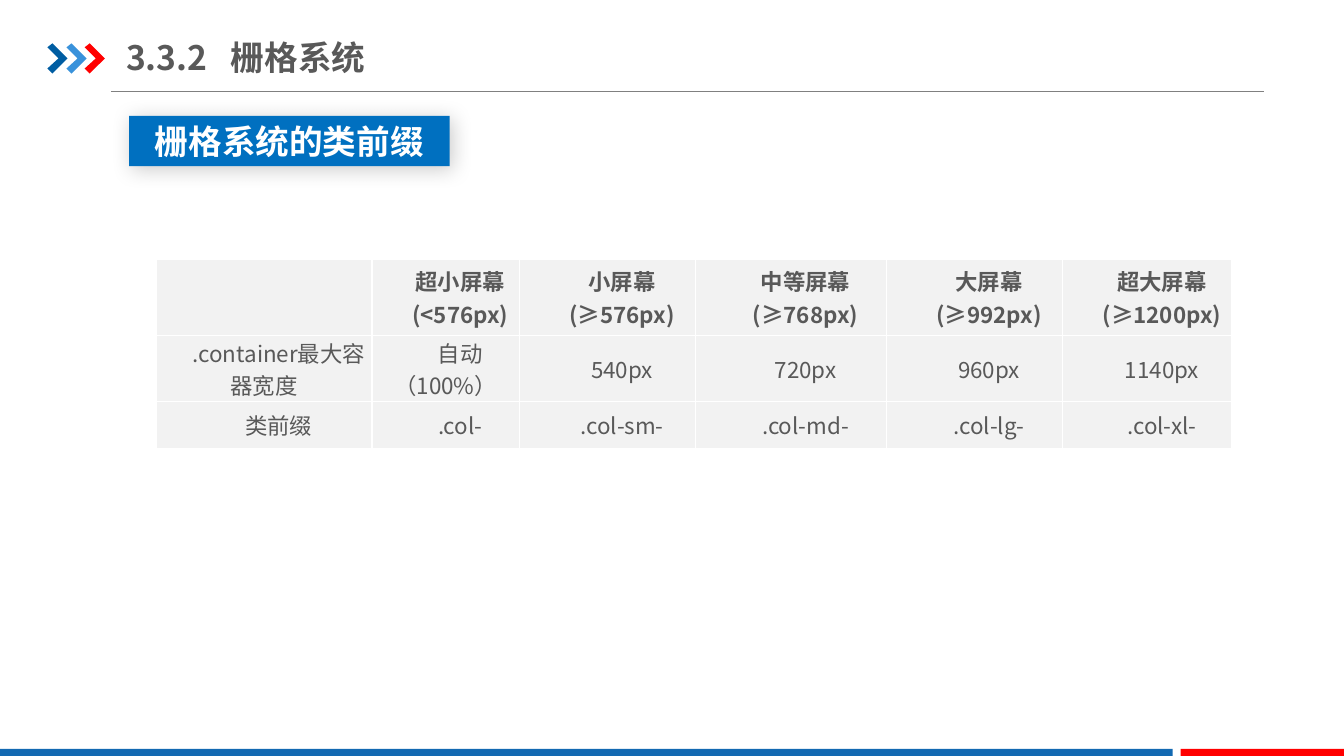
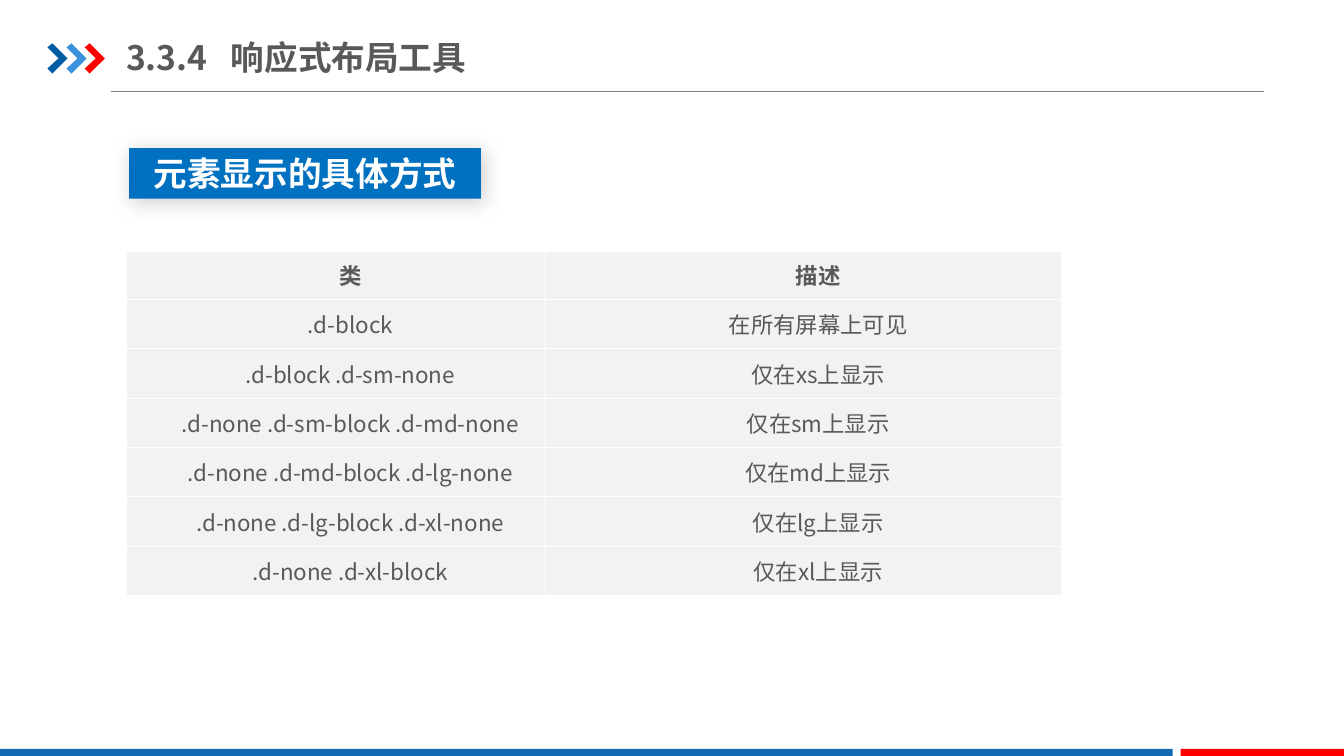
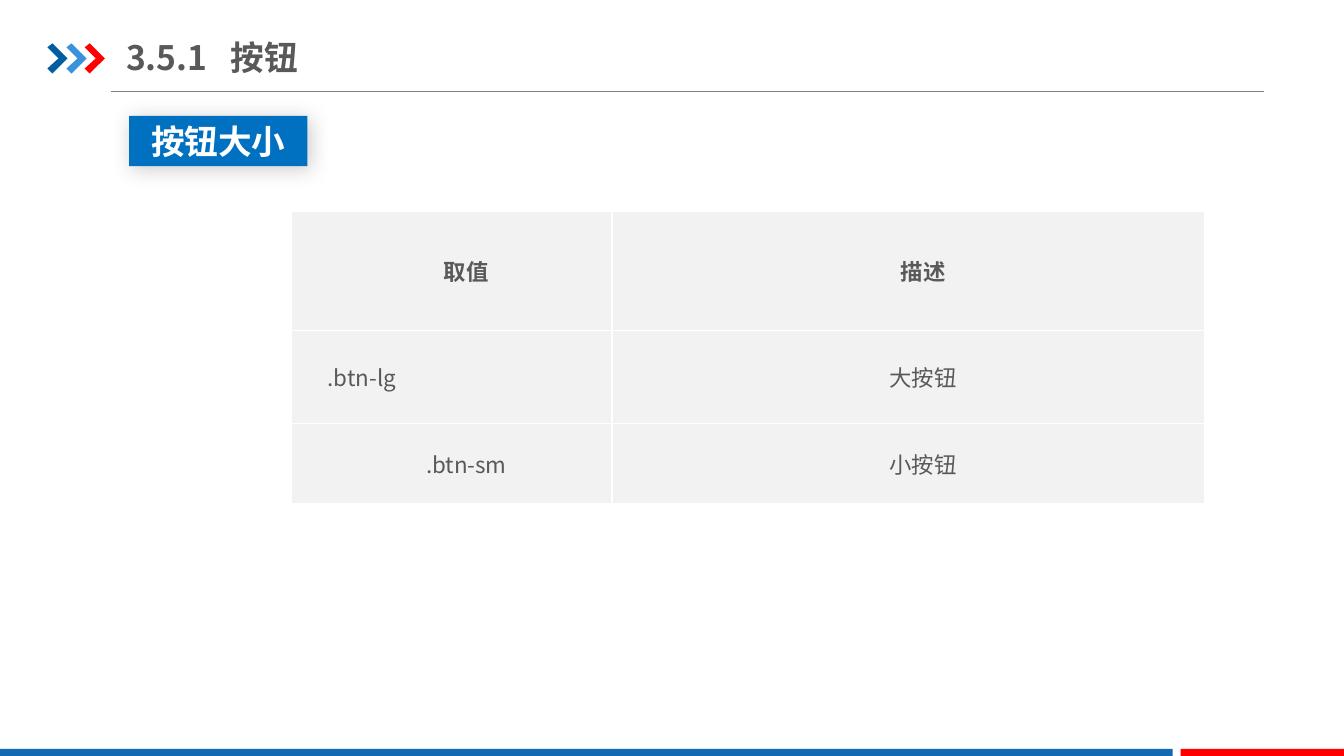
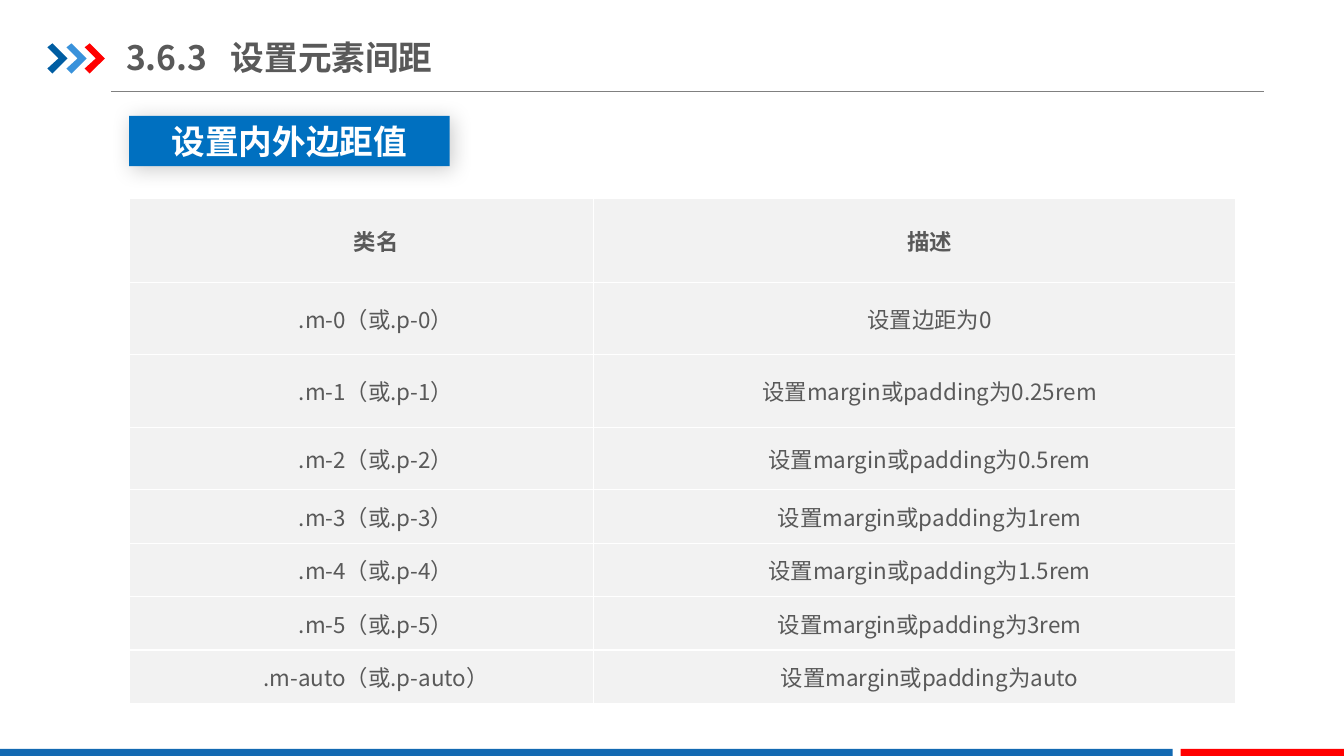
from dataclasses import dataclass

from lxml import etree
from pptx import Presentation
from pptx import util as u
from pptx.dml.color import RGBColor
from pptx.enum import shapes, text
from pptx.oxml import ns

EMU_PER_PX = 9144  # 100 px to the inch


@dataclass(frozen=True)
class Theme:
    font: str = "Noto Sans CJK SC"
    ink: str = "595959"
    white: str = "FFFFFF"
    rule: str = "808080"
    cell: str = "F2F2F2"
    tag: str = "0070C0"
    band: str = "1369B2"
    accent: str = "FF0000"
    chevrons: tuple = ("005DA2", "3992DB", "FF0000")
    heading_pt: int = 24
    table_pt: int = 16


THEME = Theme()
CHEVRON = ((0, 4), (5, 0), (20, 15), (5, 30), (0, 25), (11, 15))
CENTER, LEFT = text.PP_ALIGN.CENTER, text.PP_ALIGN.LEFT


def px(n):
    return u.Emu(n * EMU_PER_PX)


def rgb(color):
    return RGBColor.from_string(color)


def sub(parent, tag, **attrs):
    return etree.SubElement(parent, ns.qn(tag), attrs)


# Basic elements

def add_run(p, words, size, color, bold=False):
    r = p.add_run()
    r.text = words
    r.font.size = u.Pt(size)
    r.font.bold = bold
    r.font.color.rgb = rgb(color)
    r.font.name = THEME.font
    sub(r.font._element, "a:ea", typeface=THEME.font)


def paint(sp, color):
    sp.fill.solid()
    sp.fill.fore_color.rgb = rgb(color)
    sp.line.fill.background()
    sp.shadow.inherit = False
    return sp


def add_rect(s, left, top, width, height, color):
    sp = s.shapes.add_shape(shapes.MSO_SHAPE.RECTANGLE,
                            px(left), px(top), px(width), px(height))
    return paint(sp, color)


def add_chevron(s, left, top, color):
    points = [(left + x, top + y) for x, y in CHEVRON]
    builder = s.shapes.build_freeform(*points[0], scale=EMU_PER_PX)
    builder.add_line_segments(points[1:], close=True)
    return paint(builder.convert_to_shape(), color)


# Parts that every slide shares

def add_frame(s):
    rule = s.shapes.add_connector(shapes.MSO_CONNECTOR.STRAIGHT,
                                  px(110), px(91), px(1254), px(91))
    rule.line.color.rgb = rgb(THEME.rule)
    rule.line.width = u.Pt(0.75)
    sub(rule._element.spPr, "a:effectLst")

    s.shapes.add_group_shape([add_chevron(s, left, 43, color)
                              for left, color in zip((47, 66, 84), THEME.chevrons)])
    add_rect(s, 0, 743, 1163, 9, THEME.band)
    add_rect(s, 1171, 743, 163, 9, THEME.accent)


def add_title(s, number, words):
    sp = s.shapes.add_textbox(px(125), px(29), px(605), px(55))
    tf = sp.text_frame
    tf.word_wrap = True
    tf.vertical_anchor = text.MSO_ANCHOR.MIDDLE
    tf.margin_left = tf.margin_right = 0
    tf.margin_top = tf.margin_bottom = px(7)
    p = tf.paragraphs[0]
    tabs = sub(p._p.get_or_add_pPr(), "a:tabLst")
    sub(tabs, "a:tab", pos=str(px(104)), algn="l")
    add_run(p, f"{number}\t{words}", THEME.heading_pt, THEME.ink, bold=True)


def add_tag(s, words, top, width):
    sp = add_rect(s, 128, top, width, 50, THEME.tag)
    effects = sp._element.spPr.find(ns.qn("a:effectLst"))
    shadow = sub(effects, "a:outerShdw", blurRad=str(u.Pt(15)), dist=str(u.Pt(3)),
                 dir=str(45 * 60000), algn="tl", rotWithShape="0")
    sub(sub(shadow, "a:srgbClr", val="000000"), "a:alpha", val="20000")
    tf = sp.text_frame
    tf.word_wrap = True
    tf.vertical_anchor = text.MSO_ANCHOR.MIDDLE
    p = tf.paragraphs[0]
    p.alignment = CENTER
    add_run(p, words, THEME.heading_pt, THEME.white, bold=True)


# Tables

def style_cell(cell):
    cell.margin_left = cell.margin_right = px(7)
    cell.margin_top = cell.margin_bottom = 0
    cell.vertical_anchor = text.MSO_ANCHOR.MIDDLE
    tcPr = cell._tc.get_or_add_tcPr()
    for side in ("a:lnL", "a:lnR", "a:lnT", "a:lnB"):
        ln = sub(tcPr, side, w=str(u.Pt(1)))
        sub(sub(ln, "a:solidFill"), "a:srgbClr", val=THEME.white)
    cell.fill.solid()
    cell.fill.fore_color.rgb = rgb(THEME.cell)


def fill_cell(cell, words, bold, align):
    tf = cell.text_frame
    for i, line in enumerate(words.split("\n")):
        p = tf.add_paragraph() if i else tf.paragraphs[0]
        p.alignment = align
        p._p.get_or_add_pPr().set("indent", str(px(29)))
        if line:
            add_run(p, line, THEME.table_pt, THEME.ink, bold)


def add_grid(s, left, top, widths, heights, rows, left_cells=()):
    """First row is the bold header; left_cells lists (row, column) set left."""
    frame = s.shapes.add_table(len(rows), len(widths), px(left), px(top),
                               px(sum(widths)), px(sum(heights)))
    table = frame.table
    table.first_row = table.horz_banding = False
    for column, width in zip(table.columns, widths):
        column.width = px(width)
    for row, height in zip(table.rows, heights):
        row.height = px(height)
    for i, row in enumerate(rows):
        for j, words in enumerate(row):
            cell = table.cell(i, j)
            style_cell(cell)
            fill_cell(cell, words, i == 0, LEFT if (i, j) in left_cells else CENTER)


def add_page(prs, number, title, tag, tag_width, tag_top=115):
    s = prs.slides.add_slide(prs.slide_layouts[6])
    add_frame(s)
    add_title(s, number, title)
    add_tag(s, tag, tag_top, tag_width)
    return s


def main():
    prs = Presentation()
    prs.slide_width, prs.slide_height = px(1333), px(750)

    # Grid class prefixes; the middle row holds two lines
    s = add_page(prs, "3.3.2", "栅格系统", "栅格系统的类前缀", 318)
    add_grid(s, 155, 257, (214, 146, 175, 189, 175, 168), (76, 65, 47), [
        ("", "超小屏幕\n(<576px)", "小屏幕\n(≥576px)", "中等屏幕\n(≥768px)",
         "大屏幕\n(≥992px)", "超大屏幕\n(≥1200px)"),
        (".container最大容器宽度", "自动（100%）", "540px", "720px", "960px", "1140px"),
        ("类前缀", ".col-", ".col-sm-", ".col-md-", ".col-lg-", ".col-xl-"),
    ])

    # Display classes
    s = add_page(prs, "3.3.4", "响应式布局工具", "元素显示的具体方式", 349, tag_top=147)
    add_grid(s, 125, 249, (416, 512), [48] + [49] * 6, [
        ("类", "描述"),
        (".d-block", "在所有屏幕上可见"),
        (".d-block .d-sm-none", "仅在xs上显示"),
        (".d-none .d-sm-block .d-md-none", "仅在sm上显示"),
        (".d-none .d-md-block .d-lg-none", "仅在md上显示"),
        (".d-none .d-lg-block .d-xl-none", "仅在lg上显示"),
        (".d-none .d-xl-block", "仅在xl上显示"),
    ])

    # Button sizes
    s = add_page(prs, "3.5.1", "按钮", "按钮大小", 177)
    add_grid(s, 289, 210, (318, 588), (118, 92, 80), [
        ("取值", "描述"),
        (".btn-lg", "大按钮"),
        (".btn-sm", "小按钮"),
    ], left_cells=[(1, 0)])

    # Spacing classes
    s = add_page(prs, "3.6.3", "设置元素间距", "设置内外边距值", 318)
    sizes = (("1", "0.25rem"), ("2", "0.5rem"), ("3", "1rem"),
             ("4", "1.5rem"), ("5", "3rem"), ("auto", "auto"))
    add_grid(s, 128, 197, (461, 637), [83, 72, 72, 62] + [53] * 4, [
        ("类名", "描述"),
        (".m-0（或.p-0）", "设置边距为0"),
        *((f".m-{name}（或.p-{name}）", f"设置margin或padding为{size}")
          for name, size in sizes),
    ])

    prs.save("out.pptx")


if __name__ == "__main__":
    main()
